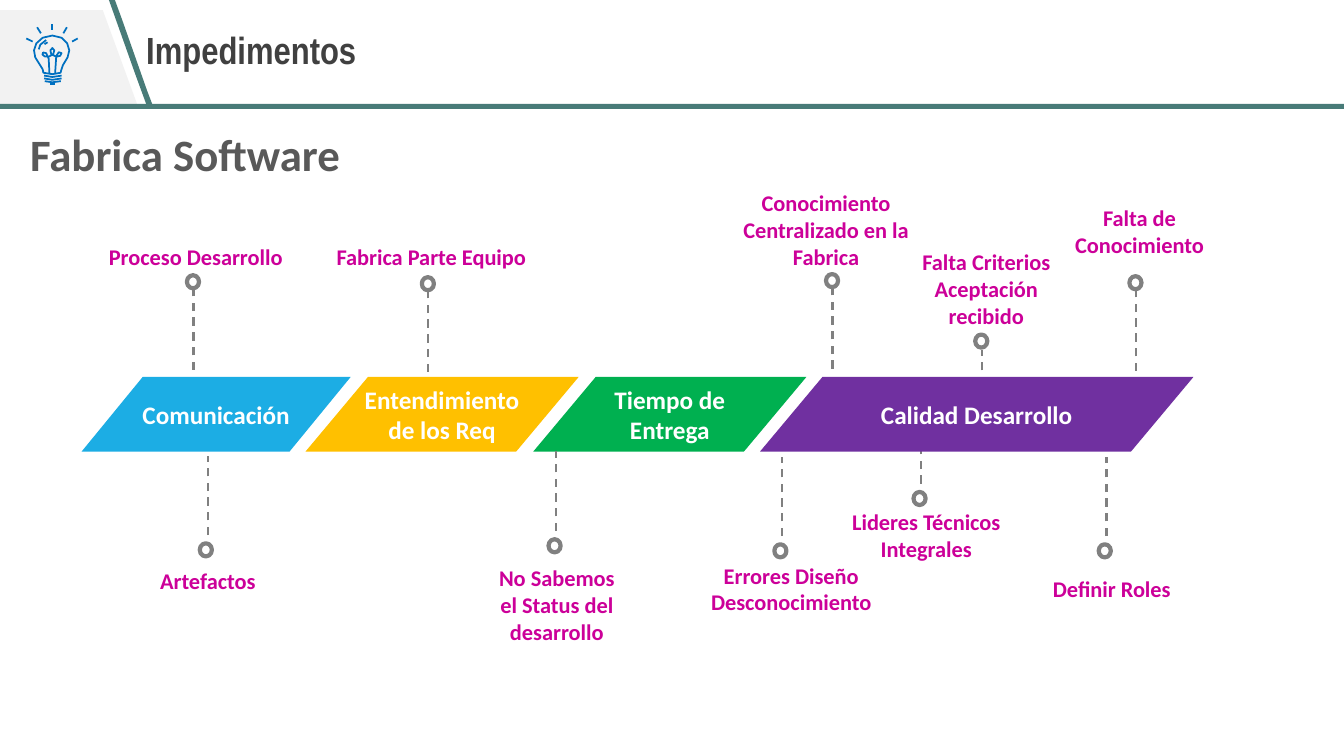
from dataclasses import dataclass

import pptx
import pptx.dml.color
import pptx.enum.dml
import pptx.enum.shapes
import pptx.enum.text
import pptx.oxml
import pptx.oxml.ns
import pptx.util

Pt = pptx.util.Pt
RGBColor = pptx.dml.color.RGBColor
SHAPE = pptx.enum.shapes.MSO_SHAPE
ANCHOR = pptx.enum.text.MSO_ANCHOR
ALIGN = pptx.enum.text.PP_ALIGN
AUTO = pptx.enum.text.MSO_AUTO_SIZE

TEAL = RGBColor(0x48, 0x7B, 0x78)
PANEL = RGBColor(0xF2, 0xF2, 0xF2)
BULB_BLUE = RGBColor(0x00, 0x70, 0xC0)
TITLE_GRAY = RGBColor(0x40, 0x40, 0x40)
HEADING_GRAY = RGBColor(0x59, 0x59, 0x59)
PIN_GRAY = RGBColor(0x80, 0x80, 0x80)
MAGENTA = RGBColor(0xCC, 0x00, 0x99)
WHITE = RGBColor(0xFF, 0xFF, 0xFF)
SKY = RGBColor(0x1C, 0xAD, 0xE4)
AMBER = RGBColor(0xFF, 0xC0, 0x00)
GREEN = RGBColor(0x00, 0xB0, 0x50)
PURPLE = RGBColor(0x70, 0x30, 0xA0)

TITLE_FONT = dict(name="Arial Narrow", size=Pt(27), bold=True)
HEADING_FONT = dict(name="Calibri", size=Pt(32), bold=True)
STAGE_FONT = dict(name="Calibri", size=Pt(18), bold=True)
NOTE_FONT = dict(name="Calibri", size=Pt(16), bold=True)

STAGE_TOP, STAGE_HEIGHT = 269.3, 53.3
DOT_WIDTH, DOT_HEIGHT = 8.64, 9.36
PIN_LENGTH = 56.9

Points = list[tuple[float, float]]


@dataclass
class Stage:
    text: str
    left: float
    width: float
    slant: float
    color: RGBColor


@dataclass
class Note:
    text: str
    box: tuple[float, float, float, float]
    pin_x: float
    dot_top: float
    above: bool
    wrap: bool = True


# The first two notes lie behind the stages
BACK_NOTES = [
    Note("Lideres Técnicos Integrales", (596.9, 359.3, 129.6, 46.1), 658.1, 351.4, False),
    Note("Falta Criterios Aceptación recibido", (632.9, 173.5, 143.3, 65.5), 701.3, 239, True),
]
STAGES = [
    Stage("Comunicación", 58.3, 192.2, 0.819, SKY),
    Stage("Entendimiento de los Req", 218.2, 195.1, 0.837, AMBER),
    Stage("Tiempo de Entrega", 380.9, 195.1, 0.837, GREEN),
    Stage("Calidad Desarrollo", 542.9, 309.6, 0.837, PURPLE),
]
FRONT_NOTES = [
    Note("Proceso Desarrollo", (70.6, 169.9, 140.4, 26.6), 138.2, 196.6, True, False),
    Note("Artefactos", (107.3, 401.8, 83.5, 26.6), 148.3, 388.1, False, False),
    Note("Fabrica Parte Equipo", (233.3, 169.9, 151.9, 26.6), 306, 198, True, False),
    Note("No Sabemos el Status del desarrollo", (344.9, 398.9, 105.8, 65.5), 397.4, 385.2, False),
    Note("Conocimiento Centralizado en la Fabrica", (517, 131, 146.2, 65.5), 594.7, 195.8, True),
    Note("Errores Diseño Desconocimiento", (497.5, 397.4, 135.4, 46.1), 558.7, 388.8, False),
    Note("Definir Roles", (729.4, 406.8, 129.6, 26.6), 790.4, 388.8, False),
    Note("Falta de Conocimiento", (742.3, 141.8, 143.3, 46.1), 811.4, 197.3, True),
]

SLANTED_BAR = [(77.8, 0), (82.1, 0), (87.1, 13.7), (105.1, 64.8), (108.7, 74.2),
               (104.4, 74.2), (96.5, 52.6)]
BULB_GLASS = [(31, 52), (30.5, 49.5), (28, 45.5), (25.2, 41), (24.3, 36), (26, 31),
              (30.5, 27), (37.4, 25.4), (44, 27), (48, 31), (49.5, 36), (48.3, 41),
              (45, 46.5), (43.8, 50), (43.3, 52), (37.4, 53)]
BULB_STROKES = [
    # filament
    [(35.3, 52.3), (34.8, 42), (33, 38), (30.8, 37.5), (30.3, 39), (32, 40.3),
     (34.8, 40.5), (38, 38.8), (38.8, 36), (37.4, 34.3), (36, 36), (36.6, 38.6),
     (40, 40.5), (43, 39.9), (44, 38), (42, 37.3), (40.2, 40), (39.4, 52.3)],
    # screw base
    [(31.5, 54), (37.4, 55), (44, 54)], [(31.5, 56), (37.4, 57), (44, 56)],
    [(32, 58), (37.4, 58.8), (43.5, 58)], [(36, 60), (39, 60)],
    # highlights
    [(27.7, 35.3), (28.8, 32), (33, 28.6)], [(31.8, 31.6), (34, 30.2)],
    # rays
    [(55.5, 27.5), (51.5, 29.7)], [(47.8, 19.5), (45.3, 23.8)], [(37.4, 17.2), (37.4, 21.6)],
    [(26.5, 19.5), (29.2, 23.8)], [(18.8, 27.5), (23.3, 29.7)],
]


def write(tf, text: str, font: dict, color: RGBColor, align=None) -> None:
    p = tf.paragraphs[0]
    p.alignment = align
    r = p.add_run()
    r.text = text
    for key, value in font.items():
        setattr(r.font, key, value)
    r.font.color.rgb = color


def add_filled(s, shape: int, box: tuple, color: RGBColor):
    sp = s.shapes.add_shape(shape, *map(Pt, box))
    sp.shadow.inherit = False
    sp.fill.solid()
    sp.fill.fore_color.rgb = color
    sp.line.fill.background()
    return sp


def add_outline(s, points: Points, color: RGBColor, filled: bool = True, close: bool = True) -> None:
    corners = [(Pt(x), Pt(y)) for x, y in points]
    builder = s.shapes.build_freeform(*corners[0], scale=1.0)
    builder.add_line_segments(corners[1:], close=close)
    sp = builder.convert_to_shape()
    sp.shadow.inherit = False
    if filled:
        sp.fill.solid()
        sp.fill.fore_color.rgb = color
        sp.line.fill.background()
    else:
        sp.fill.background()
        sp.line.color.rgb = color
        sp.line.width = Pt(1.25)


def add_label(s, text: str, box: tuple, font: dict, color: RGBColor, wrap: bool,
              anchor=ANCHOR.TOP) -> None:
    tf = s.shapes.add_textbox(*map(Pt, box)).text_frame
    settings = dict(word_wrap=wrap, auto_size=AUTO.SHAPE_TO_FIT_TEXT, vertical_anchor=anchor)
    for key, value in settings.items():
        setattr(tf, key, value)
    write(tf, text, font, color, ALIGN.CENTER if wrap else ALIGN.LEFT)


def add_stage(s, stage: Stage) -> None:
    box = (stage.left, STAGE_TOP, stage.width, STAGE_HEIGHT)
    sp = add_filled(s, SHAPE.PARALLELOGRAM, box, stage.color)
    sp.adjustments[0] = stage.slant
    sp.text_frame.vertical_anchor = ANCHOR.MIDDLE
    write(sp.text_frame, stage.text, STAGE_FONT, WHITE, ALIGN.CENTER)


def add_note(s, note: Note) -> None:
    bottom = note.dot_top + 10.8 + PIN_LENGTH if note.above else note.dot_top - 5.8
    pin = s.shapes.add_connector(pptx.enum.shapes.MSO_CONNECTOR.STRAIGHT, Pt(note.pin_x),
                                 Pt(bottom), Pt(note.pin_x), Pt(bottom - PIN_LENGTH))
    pin.line.color.rgb = PIN_GRAY
    pin.line.width = Pt(1.5)
    pin.line.dash_style = pptx.enum.dml.MSO_LINE.DASH
    pin._element.spPr.append(pptx.oxml.parse_xml(
        f"<a:effectLst {pptx.oxml.ns.nsdecls('a')}/>"))
    dot_left = note.pin_x - (4.7 if note.above else 5.6)
    dot = s.shapes.add_shape(SHAPE.OVAL, Pt(dot_left), Pt(note.dot_top),
                             Pt(DOT_WIDTH), Pt(DOT_HEIGHT))
    dot.shadow.inherit = False
    dot.fill.background()
    dot.line.color.rgb = PIN_GRAY
    dot.line.width = Pt(3)
    add_label(s, note.text, note.box, NOTE_FONT, MAGENTA, note.wrap,
              ANCHOR.MIDDLE if note.wrap else ANCHOR.TOP)


def main() -> None:
    prs = pptx.Presentation()
    prs.slide_width, prs.slide_height = Pt(960), Pt(540)
    s = prs.slides.add_slide(prs.slide_layouts[5])

    # Header band with light bulb
    add_outline(s, [(0, 7.2), (73.4, 7.2), (97.9, 74.2), (0, 74.2)], PANEL)
    add_outline(s, BULB_GLASS, BULB_BLUE, filled=False)
    for stroke in BULB_STROKES:
        add_outline(s, stroke, BULB_BLUE, filled=False, close=False)
    add_filled(s, SHAPE.RECTANGLE, (0, 74.2, 960, 3.6), TEAL)
    add_outline(s, SLANTED_BAR, TEAL)

    # Title and heading
    title = s.shapes.title
    frame = dict(left=91.4, top=0, width=667.4, height=74.2)
    for key, value in frame.items():
        setattr(title, key, Pt(value))
    tf = title.text_frame
    settings = dict(margin_left=Pt(13), vertical_anchor=ANCHOR.MIDDLE, auto_size=AUTO.NONE)
    for key, value in settings.items():
        setattr(tf, key, value)
    write(tf, "Impedimentos", TITLE_FONT, TITLE_GRAY, ALIGN.LEFT)
    tf.paragraphs[0].line_spacing = 0.9
    add_label(s, "Fabrica Software", (14.4, 87.1, 239, 46.1), HEADING_FONT, HEADING_GRAY, False)

    # Stages and their impediments
    for note in BACK_NOTES:
        add_note(s, note)
    for stage in STAGES:
        add_stage(s, stage)
    for note in FRONT_NOTES:
        add_note(s, note)

    prs.save("out.pptx")


if __name__ == "__main__":
    main()
